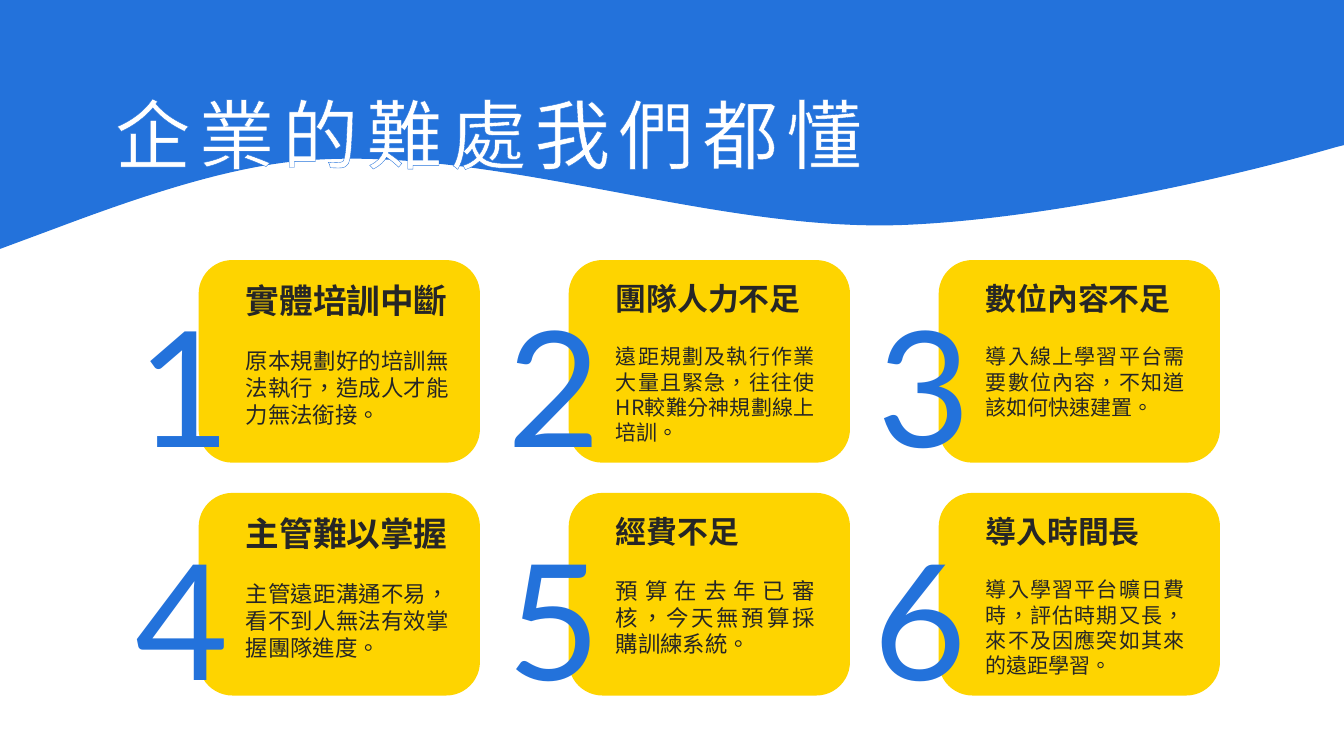
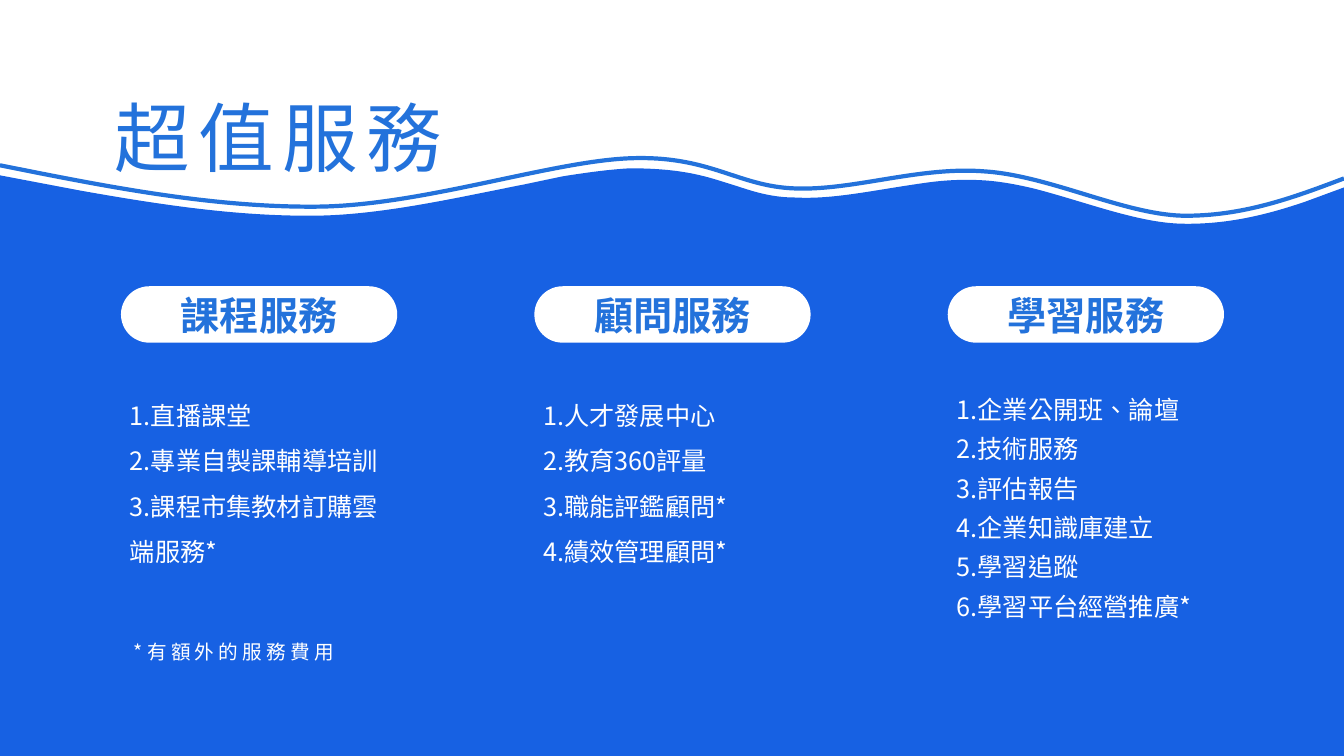
import pptx
import pptx.dml.color
import pptx.enum.shapes
import pptx.enum.text
import pptx.oxml
import pptx.oxml.ns
import pptx.util

COLORS = {"blue": "2372DB", "deep": "1761E3", "yellow": "FED400",
          "ink": "262626", "white": "FFFFFF"}
TC, JP, DIGIT = "Noto Sans CJK TC", "Noto Sans CJK JP", "Lato"
LANGUAGE = "zh-TW"
WIDTH, HEIGHT = 13.33, 7.5
LINE = 1.2  # line pitch as a multiple of the font size

# Cards: left, top, column step, row step, width, height
CARD_LEFT, CARD_TOP, CARD_STEP, CARD_ROW = 1.97, 2.58, 3.67, 2.31
CARD_WIDTH, CARD_HEIGHT, CARD_COLUMNS = 2.79, 2.01, 3
PILL_LEFT, PILL_TOP, PILL_STEP, PILL_WIDTH, PILL_HEIGHT = 1.2, 2.84, 4.1, 2.74, 0.56

# Each card: heading, its size, body, its size, shift of the digit
CARDS = [
    ("實體培訓中斷", 24, "原本規劃好的培訓無法執行，造成人才能力無法銜接。", 16, 0),
    ("團隊人力不足", 22, "遠距規劃及執行作業大量且緊急，往往使HR較難分神規劃線上培訓。", 15, 0),
    ("數位內容不足", 22, "導入線上學習平台需要數位內容，不知道該如何快速建置。", 15, 0),
    ("主管難以掌握", 24, "主管遠距溝通不易，看不到人無法有效掌握團隊進度。", 16, -0.02),
    ("經費不足", 22, "預算在去年已審核，今天無預算採購訓練系統。", 16, 0),
    ("導入時間長", 22, "導入學習平台曠日費時，評估時期又長，來不及因應突如其來的遠距學習。", 15, -0.04),
]
# Each service: heading, line spacing, items
SERVICES = [
    ("課程服務", 1.5, ["直播課堂", "專業自製課輔導培訓", "課程市集教材訂購雲端服務*"]),
    ("顧問服務", 1.5, ["人才發展中心", "教育360評量", "職能評鑑顧問*", "績效管理顧問*"]),
    ("學習服務", 1.3, ["企業公開班、論壇", "技術服務", "評估報告", "企業知識庫建立",
                   "學習追蹤", "學習平台經營推廣*"]),
]
# Outlines: a start, then one point for a line or three for a Bézier curve
TOP_WAVE = [
    [(0, 0)], [(WIDTH, 0)], [(WIDTH, 1.44)], [(13.25, 1.46)],
    [(12.04, 1.81), (10.32, 2.17), (9.01, 2.23)],
    [(7.1, 2.32), (4.95, 1.45), (3.06, 1.59)],
    [(2.3, 1.64), (1.39, 1.95), (0.54, 2.27)], [(0, 2.47)],
]
BOTTOM_WAVE = [
    [(0, HEIGHT)], [(0, 1.74)], [(0.79, 1.89)],
    [(1.58, 2.03), (2.36, 2.15), (3.15, 2.14)],
    [(3.8, 2.13), (4.54, 1.96), (5.2, 1.83)], [(5.58, 1.75)],
    [(5.83, 1.71), (6.06, 1.68), (6.25, 1.67)],
    [(6.7, 1.67), (6.94, 1.73), (7.16, 1.8)], [(7.32, 1.85)],
    [(7.5, 1.91), (7.67, 1.96), (7.89, 1.96)],
    [(8.26, 1.98), (8.65, 1.89), (9.14, 1.82)],
    [(9.4, 1.78), (9.6, 1.78), (9.76, 1.79)],
    [(9.92, 1.8), (10.08, 1.83), (10.25, 1.87)],
    [(10.76, 2), (11.28, 2.21), (11.72, 2.22)],
    [(12.17, 2.23), (12.57, 2.13), (12.95, 2)],
    [(WIDTH, 1.86)], [(WIDTH, HEIGHT)],
]
WAVE_LINE = [
    [(WIDTH, 1.77)],
    [(12.83, 1.96), (12.32, 2.15), (11.72, 2.14)],
    [(11.13, 2.12), (10.4, 1.74), (9.76, 1.7)],
    [(9.12, 1.65), (8.47, 1.89), (7.89, 1.87)],
    [(7.31, 1.85), (7.05, 1.54), (6.25, 1.57)],
    [(5.46, 1.6), (4.19, 2.04), (3.15, 2.05)],
    [(2.1, 2.06), (1.05, 1.85), (0, 1.64)],
]


def inches(*lengths):
    return [pptx.util.Inches(length) for length in lengths]


def color(name):
    return pptx.dml.color.RGBColor.from_string(COLORS[name])


def add_xml(parent, tag, index=None, **attributes):
    child = pptx.oxml.parse_xml(f"<{tag} {pptx.oxml.ns.nsdecls('a')}/>")
    for key, value in attributes.items():
        child.set(key, str(value))
    parent.insert(len(parent) if index is None else index, child)
    return child


def bend(shape, outline):
    """Join each three line segments that stand for a curve into one Bézier."""
    lines = iter(list(shape._element.iter(pptx.oxml.ns.qn("a:lnTo"))))
    for segment in outline[1:]:
        parts = [next(lines) for _ in segment]
        if len(parts) == 3:
            parent = parts[0].getparent()
            curve = add_xml(parent, "a:cubicBezTo", parent.index(parts[0]))
            for part in parts:
                curve.append(part[0])
                parent.remove(part)


def add_outline(page, outline, fill=None, line=None):
    points = [inches(*point) for segment in outline for point in segment]
    builder = page.shapes.build_freeform(*points[0])
    builder.add_line_segments(points[1:], close=fill is not None)
    shape = builder.convert_to_shape()
    bend(shape, outline)
    paint(shape, fill, line)


def paint(shape, fill=None, line=None, points=3):
    shape.shadow.inherit = False
    if fill:
        shape.fill.solid()
        shape.fill.fore_color.rgb = color(fill)
    else:
        shape.fill.background()
    if line:
        shape.line.color.rgb = color(line)
        shape.line.width = pptx.util.Pt(points)
    else:
        shape.line.fill.background()


def add_panel(shapes, left, top, width, height, fill, rounding=None):
    kind = pptx.enum.shapes.MSO_SHAPE.ROUNDED_RECTANGLE
    panel = shapes.add_shape(kind, *inches(left, top, width, height))
    if rounding is not None:
        panel.adjustments[0] = rounding
    paint(panel, fill)


def add_text(shapes, left, top, width, height, paragraphs):
    """Add a text box; each paragraph is a dict of arguments for style()."""
    frame = shapes.add_textbox(*inches(left, top, width, height)).text_frame
    frame.word_wrap = True
    for index, settings in enumerate(paragraphs):
        para = frame.add_paragraph() if index else frame.paragraphs[0]
        style(para, **settings)


def style(para, text, size, fill, face=TC, bold=False, align="LEFT", pitch=LINE,
          before=0, spacing=0, numbered=False, outline=None):
    para.text = text
    para.alignment = getattr(pptx.enum.text.PP_ALIGN, align)
    if pitch:
        para.line_spacing = pptx.util.Pt(round(size * pitch, 1))
    para.space_before = pptx.util.Pt(before)
    properties = para._p.get_or_add_pPr()
    properties.set("hangingPunct", "0")
    if numbered:
        properties.set("marL", "0")
        properties.set("indent", "0")
        add_xml(properties, "a:buAutoNum", type="arabicPeriod")
    font = para.font
    font.size, font.bold, font.name = pptx.util.Pt(size), bold, face
    font.color.rgb = color(fill)
    character = properties.find(pptx.oxml.ns.qn("a:defRPr"))
    character.set("lang", LANGUAGE)
    add_xml(character, "a:ea", typeface=face)
    if spacing:
        character.set("spc", str(spacing * 100))
    if outline:
        line = add_xml(character, "a:ln", 0, w=pptx.util.Pt(1))
        add_xml(add_xml(line, "a:solidFill"), "a:srgbClr", val=COLORS[outline])


def add_title(page, top, text, fill, outline=None):
    add_text(page.shapes, 1.04, top, 7.78, 1.01,
             [dict(text=text, size=54, fill=fill, spacing=6, outline=outline)])


def add_card(page, index, heading, heading_size, body, body_size, shift):
    row, column = divmod(index, CARD_COLUMNS)
    left, top = CARD_LEFT + column * CARD_STEP, CARD_TOP + row * CARD_ROW
    shapes = page.shapes.add_group_shape().shapes
    add_panel(shapes, left, top, CARD_WIDTH, CARD_HEIGHT, "yellow")
    add_text(shapes, left - 0.7 + shift, top + 0.21, 1.14, 2.04,
             [dict(text=str(index + 1), size=115, fill="blue", face=DIGIT, pitch=None)])
    text_width = 2.21 if heading_size == 24 else 2.17
    add_text(shapes, left + 0.37, top + 0.15, text_width, 1.75, [
        dict(text=heading, size=heading_size, fill="ink", bold=True),
        dict(text=body, size=body_size, fill="ink", align="JUSTIFY", before=16 * LINE)])


def add_service(page, index, heading, spacing, items):
    left = PILL_LEFT + index * PILL_STEP
    shapes = page.shapes.add_group_shape().shapes
    add_panel(shapes, left, PILL_TOP, PILL_WIDTH, PILL_HEIGHT, "white", rounding=0.5)
    paragraphs = [dict(text=heading, size=28, fill="blue", face=JP, bold=True, align="CENTER")]
    paragraphs += [dict(text=item, size=18, fill="white", face=JP, pitch=LINE * spacing,
                        before=0 if number else 28 * LINE, numbered=True)
                   for number, item in enumerate(items)]
    add_text(shapes, left - 0.01, PILL_TOP, PILL_WIDTH + 0.02, 3.77, paragraphs)


def add_page(deck):
    return deck.slides.add_slide(deck.slide_layouts[6])


def build_problems(deck):
    page = add_page(deck)
    add_outline(page, TOP_WAVE, fill="blue")
    add_title(page, 0.82, "企業的難處我們都懂", "white", outline="blue")
    for index, card in enumerate(CARDS):
        add_card(page, index, *card)


def build_services(deck):
    page = add_page(deck)
    add_outline(page, BOTTOM_WAVE, fill="deep")
    add_outline(page, WAVE_LINE, line="blue")
    add_title(page, 0.85, "超值服務", "blue")
    for index, service in enumerate(SERVICES):
        add_service(page, index, *service)
    add_text(page.shapes, 1.23, 6.3, 2.4, 0.34,
             [dict(text="*有額外的服務費用", size=14, fill="white", face=JP, spacing=3)])


def main():
    deck = pptx.Presentation()
    deck.slide_width, deck.slide_height = inches(WIDTH, HEIGHT)
    build_problems(deck)
    build_services(deck)
    deck.save("out.pptx")


if __name__ == "__main__":
    main()
